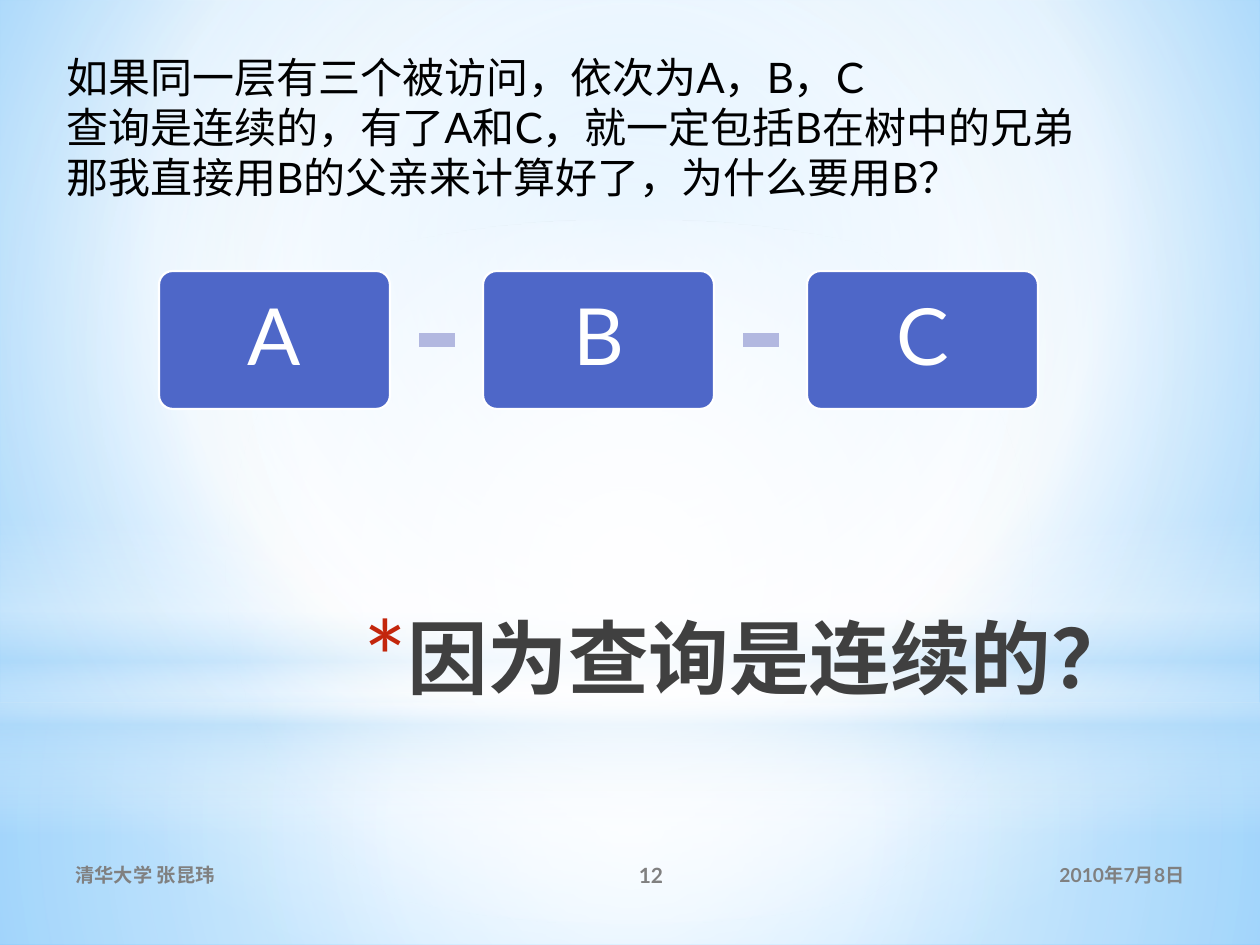
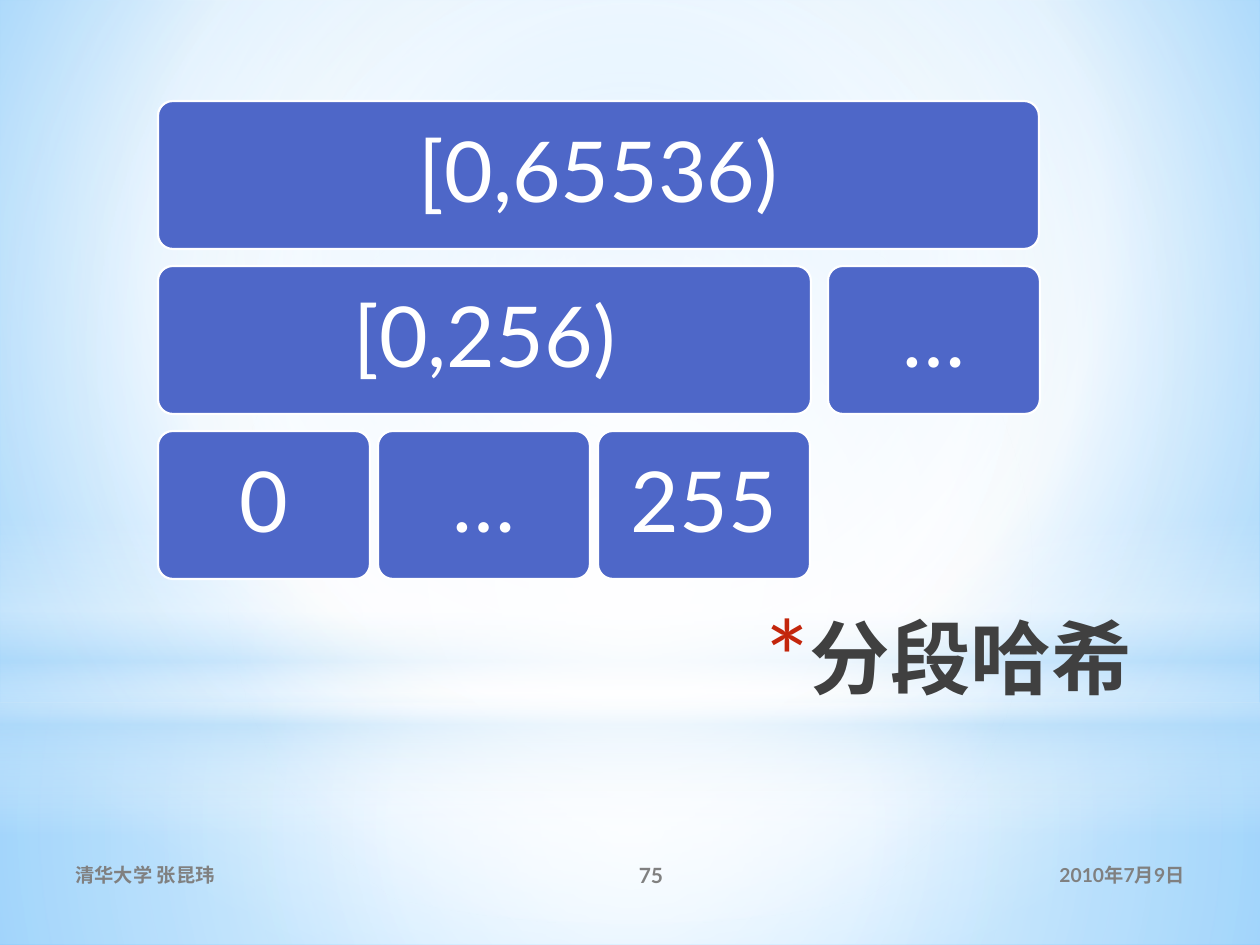
"""Builds two slides on range queries over a shared pale blue backdrop."""
from lxml import etree
from pptx import Presentation
from pptx.dml.color import RGBColor as RGB
from pptx.enum.shapes import MSO_SHAPE as SHAPE
from pptx.enum.text import MSO_ANCHOR as ANCHOR, MSO_AUTO_SIZE as SIZE, PP_ALIGN as ALIGN
from pptx.oxml.ns import qn
from pptx.util import Pt

PX = 914400 / 126
FONT = "Lato"
HEX = {"white": "FFFFFF", "pale": "B4DCFA", "sky": "9ED5FF", "deep": "5BB9FF",
       "card": "4E67C8", "dash": "B2B8E0", "star": "C3260C",
       "title": "404040", "foot": "808080", "text": "000000"}


def blend(owner, stops, focus):
    """Fill owner with (position, colour, opacity) stops, radial about focus or downward."""
    owner.fill.gradient()
    grad = next(root.iter(qn("a:gradFill"))) if (root := getattr(owner, "element", None)) is not None \
        else next(layout.element.iter(qn("a:gradFill")))
    grad.clear()
    group = etree.SubElement(grad, qn("a:gsLst"))
    for pos, hue, alpha in stops:
        stop = etree.SubElement(group, qn("a:gs"), pos=str(pos * 1000))
        tint = etree.SubElement(stop, qn("a:srgbClr"), val=HEX[hue])
        etree.SubElement(tint, qn("a:alpha"), val=str(alpha * 1000))
    if focus:
        way = etree.SubElement(grad, qn("a:path"))
        way.set("path", "circle")
        edges = {side: str(part * 1000) for side, part in zip("ltrb", focus)}
        etree.SubElement(way, qn("a:fillToRect"), **edges)
    else:
        etree.SubElement(grad, qn("a:lin"), ang="5400000", scaled="0")


def write(shape, lines, size, hue, align, anchor=ANCHOR.MIDDLE, bold=False, space=1.0):
    """Put one styled run in each paragraph of shape."""
    frame = shape.text_frame
    frame.word_wrap = True
    frame.auto_size = SIZE.NONE
    frame.vertical_anchor = anchor
    for i, line in enumerate(lines):
        para = frame.add_paragraph() if i else frame.paragraphs[0]
        para.alignment = align
        para.line_spacing = space
        run = para.add_run()
        run.text = line
        font = run.font
        font.name, font.size, font.bold = FONT, Pt(size), bold
        font.color.rgb = RGB.from_string(HEX[hue])


prs = Presentation()
prs.slide_width, prs.slide_height = int(1260 * PX), int(945 * PX)
layout = prs.slide_layouts[5]
blend(layout.background, [(0, "sky", 100), (60, "white", 100), (100, "deep", 100)], (20, 10, 20, 60))

mid = (50, 50, 50, 50)
bands = [
    (SHAPE.RECTANGLE, (0, 703, 1260, 242), mid,
     [(0, "white", 91), (37, "white", 76), (100, "pale", 79)]),
    (SHAPE.RECTANGLE, (0, 0, 1260, 703), mid,
     [(0, "white", 89), (48, "white", 62), (100, "pale", 79)]),
    (SHAPE.RECTANGLE, (0, 519, 1260, 315), None,
     [(0, "white", 0), (29, "white", 30), (45, "pale", 40),
      (55, "white", 26), (65, "pale", 60), (100, "white", 0)]),
    (SHAPE.OVAL, (0, 220, 1260, 703), mid, [(0, "white", 100), (56, "white", 0)]),
]

cards_abc = [(159 + 324 * i, 271, 231, 138, name) for i, name in enumerate("ABC")]
rows = [[(881, "[0,65536)")],
        [(653, "[0,256)"), (212, "…")],
        [(212, "0"), (212, "…"), (212, "255")]]
gaps = [0, 17, 8]
cards_hash = []
for i, (row, gap) in enumerate(zip(rows, gaps)):
    left = 158
    for wide, name in row:
        cards_hash.append((left, 101 + 165 * i, wide, 148, name))
        left += wide + gap

pages = [("因为查询是连续的？", "12", "2010年7月8日", cards_abc, 45),
         ("分段哈希", "75", "2010年7月9日", cards_hash, 48)]
slides = []
for head, number, date, cards, size in pages:
    slide = prs.slides.add_slide(layout)
    slides.append(slide)

    if len(slides) == 1:
        for i, (kind, box, focus, stops) in enumerate(bands):
            band = slide.shapes.add_shape(kind, *[int(v * PX) for v in box])
            band.shadow.inherit = False
            band.line.fill.background()
            blend(band, stops, focus)
            layout.shapes.element.insert(2 + i, band.element)

    title = slide.shapes.title
    title.left, title.top, title.width, title.height = [int(v * PX) for v in (247, 602, 897, 158)]
    write(title, [head], 46, "title", ALIGN.RIGHT, ANCHOR.TOP, True)
    props = title.text_frame.paragraphs[0]._p.get_or_add_pPr()
    props.set("marL", "320040")
    props.set("indent", "-320040")
    tint = etree.SubElement(props, qn("a:buClr"))
    etree.SubElement(tint, qn("a:srgbClr"), val=HEX["star"])
    etree.SubElement(props, qn("a:buSzPct"), val="128000")
    etree.SubElement(props, qn("a:buFont"), typeface=FONT)
    etree.SubElement(props, qn("a:buChar"), char="*")

    for left, wide, text, pts, align in [(850, 347, date, 11, ALIGN.RIGHT),
                                         (63, 463, "清华大学 张昆玮", 11, ALIGN.LEFT),
                                         (525, 252, number, 12, ALIGN.CENTER)]:
        foot = slide.shapes.add_textbox(*[int(v * PX) for v in (left, 850, wide, 50)])
        write(foot, [text], pts, "foot", align, bold=True)

    for *box, name in cards:
        card = slide.shapes.add_shape(SHAPE.ROUNDED_RECTANGLE, *[int(v * PX) for v in box])
        card.shadow.inherit = False
        card.adjustments[0] = 0.1
        card.fill.solid()
        card.fill.fore_color.rgb = RGB.from_string(HEX["card"])
        card.line.color.rgb = RGB.from_string(HEX["white"])
        card.line.width = Pt(1.25)
        write(card, [name], size, "white", ALIGN.CENTER, space=0.9)

first = slides[0]
for left, top, wide, high, name in cards_abc[:-1]:
    dash = first.shapes.add_shape(SHAPE.MATH_MINUS,
                                  *[int(v * PX) for v in (left + 254, 311, 49, 58)])
    dash.shadow.inherit = False
    dash.fill.solid()
    dash.fill.fore_color.rgb = RGB.from_string(HEX["dash"])
    dash.line.fill.background()

note = first.shapes.add_textbox(*[int(v * PX) for v in (54, 45, 1142, 165)])
write(note, ["如果同一层有三个被访问，依次为A，B，C",
             "查询是连续的，有了A和C，就一定包括B在树中的兄弟",
             "那我直接用B的父亲来计算好了，为什么要用B？"],
      24, "text", ALIGN.LEFT, ANCHOR.TOP)

prs.save("out.pptx")
